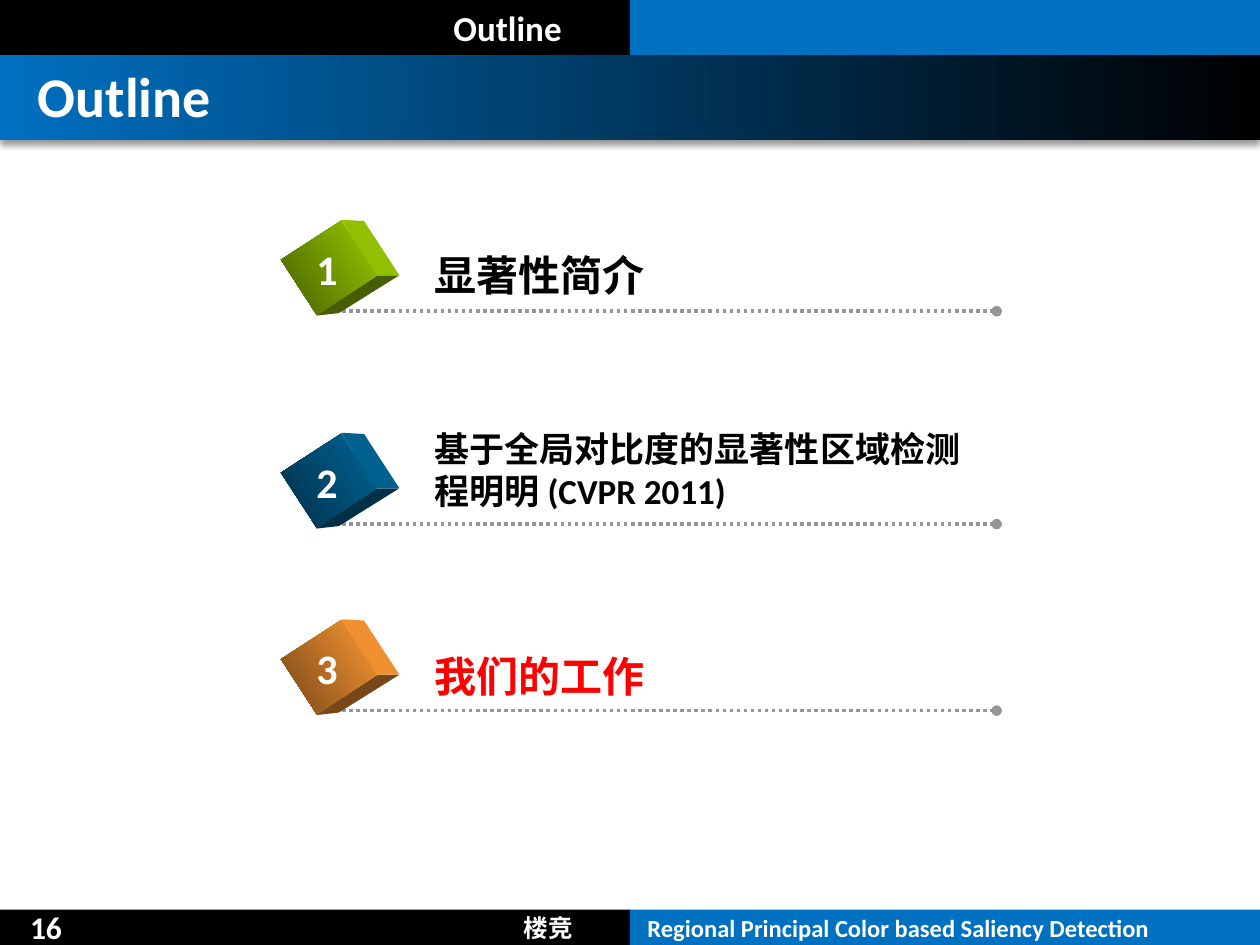
from lxml import etree
from pptx import Presentation
from pptx.dml.color import RGBColor
from pptx.enum import dml, shapes, text
from pptx.oxml import parse_xml
from pptx.oxml.ns import nsdecls, qn
from pptx.util import Inches, Pt

COLORS = {
    "black": "000000", "white": "FFFFFF", "blue": "0070C0",
    "gray": "969696", "red": "FF0000",
}
# front face start, front face end (also the underside), right side
CUBES = {
    "green": ("99CC00", "475E00", "90C000"),
    "navy": ("006699", "002F47", "006090"),
    "orange": ("FF9933", "764718", "F09030"),
}
# (line height, cube, label top, label width, size, colour, lines)
ITEMS = [
    (2.47, "green", 1.93, 3.95, 24, "black", ["显著性简介"]),
    (4.16, "navy", 3.34, 5.3, 20, "black",
     ["基于全局对比度的显著性区域检测", "程明明 (CVPR 2011)"]),
    (5.64, "orange", 5.11, 4.72, 24, "red", ["我们的工作"]),
]


def rgb(name):
    return RGBColor.from_string(COLORS.get(name, name))


class SlideBuilder:
    font = "Calibri"

    def __init__(self, page):
        self.page = page

    def finish(self, shape, fill, end=None, angle=0):
        """Remove outline and shadow; fill solid, or as a gradient up to end."""
        shape.shadow.inherit = False
        shape.line.fill.background()
        if end is None:
            shape.fill.solid()
            shape.fill.fore_color.rgb = rgb(fill)
            return shape
        shape.fill.gradient()
        shape.fill.gradient_angle = angle
        for stop, color, position in zip(shape.fill.gradient_stops, (fill, end), (0, 1)):
            stop.color.rgb = rgb(color)
            stop.position = position
        return shape

    def bar(self, left, top, width, height, fill, end=None, angle=0):
        shape = self.page.shapes.add_shape(
            shapes.MSO_SHAPE.RECTANGLE,
            Inches(left), Inches(top), Inches(width), Inches(height))
        return self.finish(shape, fill, end, angle)

    def drop_shadow(self, shape):
        effects = shape._element.spPr.find(qn("a:effectLst"))
        effects.append(parse_xml(
            f'<a:outerShdw {nsdecls("a")} blurRad="{Pt(4)}" dist="{Pt(3)}" dir="5400000">'
            '<a:srgbClr val="000000"><a:alpha val="40000"/></a:srgbClr></a:outerShdw>'))

    def face(self, points, fill):
        builder = self.page.shapes.build_freeform(
            *(Inches(value) for value in points[0]), scale=1.0)
        builder.add_line_segments([(Inches(x), Inches(y)) for x, y in points[1:]])
        self.finish(builder.convert_to_shape(), fill)

    def set_text(self, box, lines, size, color, align=text.PP_ALIGN.LEFT,
                 anchor=text.MSO_ANCHOR.TOP, wrap=True, spacing=None):
        frame = box.text_frame
        frame.text = "\n".join(lines)
        frame.word_wrap = wrap
        frame.auto_size = text.MSO_AUTO_SIZE.NONE
        frame.vertical_anchor = anchor
        for para in frame.paragraphs:
            para.alignment = align
            if spacing:
                para.line_spacing = Pt(spacing)
            para.font.name = self.font
            para.font.size = Pt(size)
            para.font.bold = True
            para.font.color.rgb = rgb(color)

    def label(self, left, top, width, height, lines, size, color, **style):
        box = self.page.shapes.add_textbox(
            Inches(left), Inches(top), Inches(width), Inches(height))
        self.set_text(box, lines, size, color, **style)

    def title(self, left, top, width, height, line, size, color):
        box = self.page.shapes.title
        box.left, box.top = Inches(left), Inches(top)
        box.width, box.height = Inches(width), Inches(height)
        self.set_text(box, [line], size, color)
        # bring the title in front of its band
        box._element.getparent().append(box._element)

    def dotted_line(self, left, right, y):
        line = self.page.shapes.add_connector(
            shapes.MSO_CONNECTOR.STRAIGHT,
            Inches(left), Inches(y), Inches(right), Inches(y))
        line.line.color.rgb = rgb("gray")
        line.line.width = Pt(2)
        line.line.dash_style = dml.MSO_LINE.ROUND_DOT
        etree.SubElement(line.line._get_or_add_ln(), qn("a:tailEnd"), type="oval")
        etree.SubElement(line._element.spPr, qn("a:effectLst"))

    def cube(self, left, top, colors):
        """Draw a tilted cube; left and top are those of the unrotated front."""
        start, end, side = colors
        x, y = left + 0.26, top + 0.285
        upper, right, lower = (x + 0.1, y - 0.38), (x + 0.38, y + 0.06), (x - 0.1, y + 0.38)
        back_upper, back_right, back_lower = (
            (px + 0.18, py + dy)
            for (px, py), dy in ((upper, 0.01), (right, 0), (lower, -0.02)))
        self.face([lower, right, back_right, back_lower], end)
        self.face([upper, back_upper, back_right, right], side)
        front = self.bar(left, top, 0.52, 0.57, start, end, angle=270)
        front.rotation = 57

    def item(self, number, y, cube, top, width, size, color, lines):
        self.dotted_line(2.66, 7.91, y)
        self.cube(2.35, y - 0.63, CUBES[cube])
        self.label(3.35, top, width, 0.51 if len(lines) == 1 else 0.77, lines, size, color)
        self.label(2.41, y - 0.59, 0.37, 0.51, [str(number)], 24, "white",
                   align=text.PP_ALIGN.CENTER, wrap=False)


def main():
    deck = Presentation()
    deck.slide_width, deck.slide_height = Inches(10), Inches(7.5)
    slide = SlideBuilder(deck.slides.add_slide(deck.slide_layouts[5]))

    slide.bar(0, 0, 5, 0.45, "black")
    slide.bar(5, 0, 5, 0.59, "blue")
    slide.bar(0, 7.22, 5, 0.28, "black")
    slide.bar(5, 7.22, 5, 0.28, "blue")
    slide.drop_shadow(slide.bar(0, 0.44, 10, 0.67, "blue", "black"))

    slide.label(4.06, 7.22, 0.94, 0.32, ["楼竞"], 14, "white", spacing=15)
    slide.label(5.04, 7.22, 4.92, 0.31,
                ["Regional Principal Color based Saliency Detection"], 14, "white", spacing=15)
    slide.label(0, 7.06, 0.59, 0.6, ["16"], 18, "white",
                align=text.PP_ALIGN.RIGHT, anchor=text.MSO_ANCHOR.MIDDLE)
    slide.title(0.2, 0.44, 9.8, 0.63, "Outline", 32, "white")
    slide.label(3.5, 0, 2.91, 0.44, ["Outline"], 20, "white")

    for number, item in enumerate(ITEMS, 1):
        slide.item(number, *item)

    deck.save("out.pptx")


if __name__ == "__main__":
    main()
